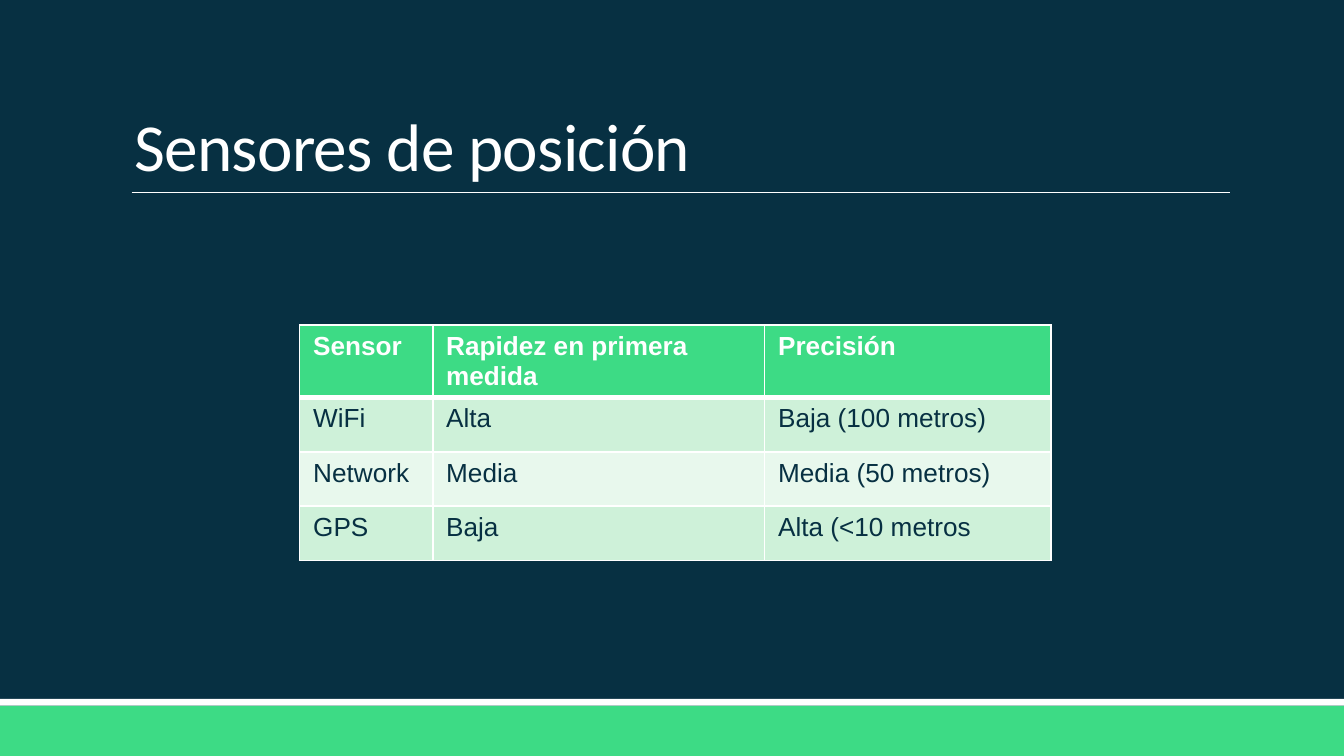
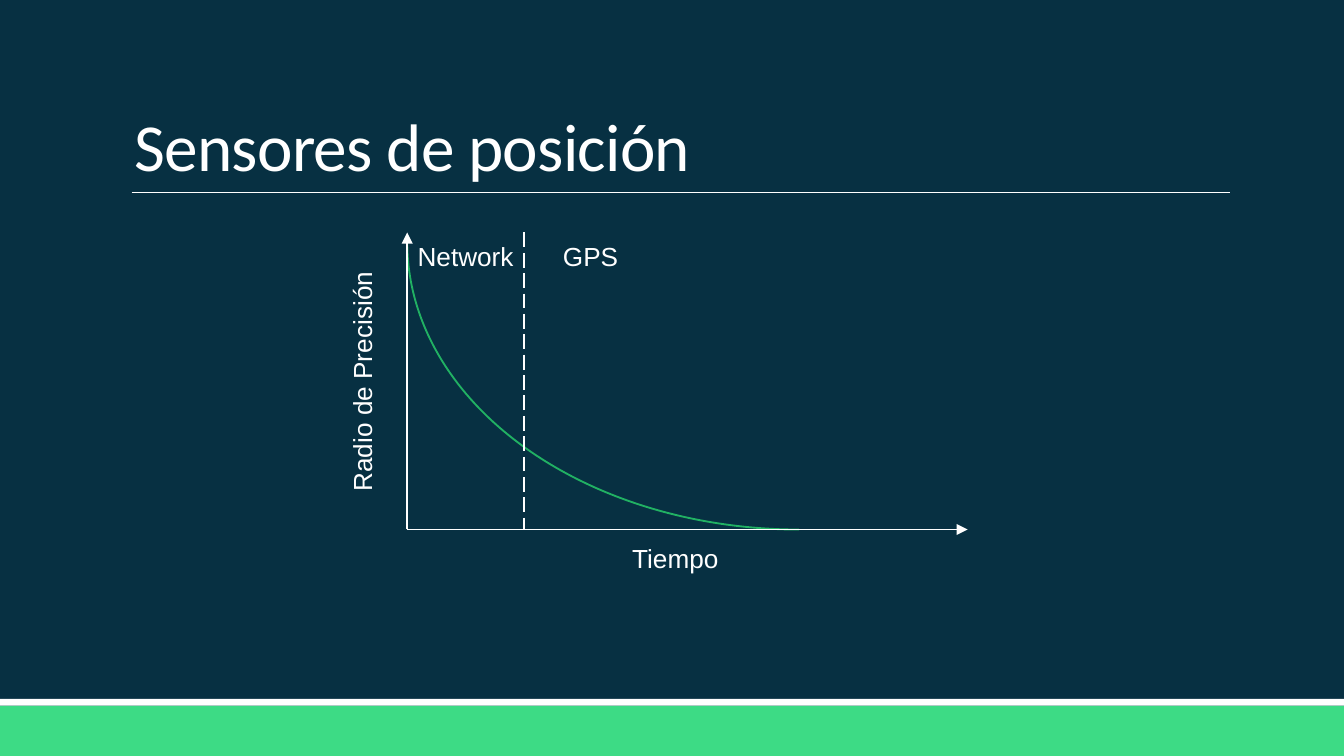
from lxml import etree
from pptx import Presentation
from pptx.dml.color import RGBColor
from pptx.enum.dml import MSO_LINE
from pptx.enum.shapes import MSO_CONNECTOR, MSO_SHAPE
from pptx.enum.text import MSO_ANCHOR, MSO_AUTO_SIZE, PP_ALIGN
from pptx.oxml.ns import qn
from pptx.util import Inches, Pt

RECT, ARC = MSO_SHAPE.RECTANGLE, MSO_SHAPE.ARC
STRAIGHT, DASH = MSO_CONNECTOR.STRAIGHT, MSO_LINE.LONG_DASH
BOTTOM, LEFT, CENTER = MSO_ANCHOR.BOTTOM, PP_ALIGN.LEFT, PP_ALIGN.CENTER
NO_FIT, GROW = MSO_AUTO_SIZE.NONE, MSO_AUTO_SIZE.SHAPE_TO_FIT_TEXT

NAVY, GREEN, WHITE, LEAF = "073042", "3DDB85", "FFFFFF", "21B163"
MINT, PALE = "CEF1D9", "E8F8ED"
WIDE = 10
HIGH = WIDE * 9 / 16
TITLE = "Sensores de posición"
ROWS = [
    ["Sensor", "Rapidez en primera medida", "Precisión"],
    ["WiFi", "Alta", "Baja (100 metros)"],
    ["Network", "Media", "Media (50 metros)"],
    ["GPS", "Baja", "Alta (<10 metros"],
]


def color(code):
    return RGBColor.from_string(code)


def paint(fill, code):
    fill.solid()
    fill.fore_color.rgb = color(code)


def write(frame, text, size=14, font="Arial", ink=WHITE, bold=False,
          align=None, leading=None, track=None):
    para = frame.paragraphs[0]
    para.alignment = align
    para.line_spacing = leading
    run = para.add_run()
    run.text = text
    run.font.size, run.font.name, run.font.bold = Pt(size), font, bold
    run.font.color.rgb = color(ink)
    if track is not None:
        run.font._element.set("spc", str(round(track * 100)))


def line(slide, x1, y1, x2, y2, width=1, dash=None, arrow=False):
    link = slide.shapes.add_connector(
        STRAIGHT, Inches(x1), Inches(y1), Inches(x2), Inches(y2))
    link.line.color.rgb = color(WHITE)
    link.line.width = Pt(width)
    if dash:
        link.line.dash_style = dash
    if arrow:
        etree.SubElement(link.line._get_or_add_ln(), qn("a:tailEnd"),
                         type="triangle")
    etree.SubElement(link._element.spPr, qn("a:effectLst"))


def band(slide, top, height, code):
    bar = slide.shapes.add_shape(
        RECT, 0, Inches(top), Inches(WIDE), Inches(height))
    bar.shadow.inherit = False
    paint(bar.fill, code)
    bar.line.fill.background()


def label(slide, text, x, y, turn=0):
    box = slide.shapes.add_textbox(
        Inches(x), Inches(y), Inches(1.97), Inches(0.34))
    box.rotation = turn
    box.text_frame.word_wrap = True
    box.text_frame.auto_size = GROW
    write(box.text_frame, text, align=CENTER)


def base(deck):
    """Slide with the shared bands, rule and title."""
    slide = deck.slides.add_slide(deck.slide_layouts[5])
    band(slide, 5.25, HIGH - 5.25, GREEN)
    band(slide, 5.2, 0.05, WHITE)
    line(slide, 0.98, 1.43, 9.15, 1.43, width=0.5)
    head = slide.shapes.title
    head.left, head.top = Inches(0.9), Inches(0.24)
    head.width, head.height = Inches(8.25), Inches(1.19)
    frame = head.text_frame
    frame.vertical_anchor, frame.auto_size = BOTTOM, NO_FIT
    write(frame, TITLE, size=36, font="Calibri", align=LEFT,
          leading=0.85, track=-0.4)
    return slide


def border(cell, **widths):
    props = cell._tc.get_or_add_tcPr()
    for side, width in widths.items():
        edge = etree.SubElement(props, qn("a:ln" + side), w=str(Pt(width)))
        fill = etree.SubElement(edge, qn("a:solidFill"))
        etree.SubElement(fill, qn("a:srgbClr"), val=WHITE)


def grid(slide, x, y, cols, tall):
    """Sensor table, with rows that share the height."""
    table = slide.shapes.add_table(
        len(ROWS), len(cols), Inches(x), Inches(y),
        Inches(sum(cols)), Inches(tall)).table
    for col, width in zip(table.columns, cols):
        col.width = Inches(width)
    for r, row in enumerate(ROWS):
        table.rows[r].height = Inches(tall / len(ROWS))
        top = r == 0
        back = GREEN if top else MINT if r % 2 else PALE
        for c, text in enumerate(row):
            cell = table.cell(r, c)
            # The rule under the header is thicker
            border(cell, L=1, R=1, T=3 if r == 1 else 1, B=3 if top else 1)
            paint(cell.fill, back)
            write(cell.text_frame, text, bold=top,
                  ink=WHITE if top else NAVY)


def graph(slide, x, y, wide, tall):
    """Precision radius against time, in the box of the two axes."""
    foot = y + tall
    # Decay curve: quarter of an ellipse that rests on the time axis
    span, rise = 5.83, 4.27
    curve = slide.shapes.add_shape(
        ARC, Inches(x), Inches(foot - rise), Inches(span), Inches(rise))
    curve.rotation = 180
    curve.shadow.inherit = False
    curve.fill.background()
    curve.line.color.rgb = color(LEAF)
    curve.line.width = Pt(1)
    # Axes and the change of sensor
    line(slide, x, foot, x, y, arrow=True)
    line(slide, x, foot, x + wide, foot, arrow=True)
    line(slide, x + 0.87, y, x + 0.87, foot, dash=DASH)
    # Labels
    label(slide, "Tiempo", x + 1.01, foot + 0.05)
    label(slide, "Network", x - 0.55, y + 0.01)
    label(slide, "GPS", x + 0.38, y + 0.01)
    label(slide, "Radio de Precisión", x - 1.32, y + 0.94, turn=270)


def main():
    deck = Presentation()
    deck.slide_width, deck.slide_height = Inches(WIDE), Inches(HIGH)
    paint(deck.slide_master.background.fill, NAVY)
    grid(base(deck), 2.23, 2.42, [0.99, 2.47, 2.13], 1.62)
    graph(base(deck), 3.03, 1.73, 4.17, 2.21)
    deck.save("out.pptx")


if __name__ == "__main__":
    main()
